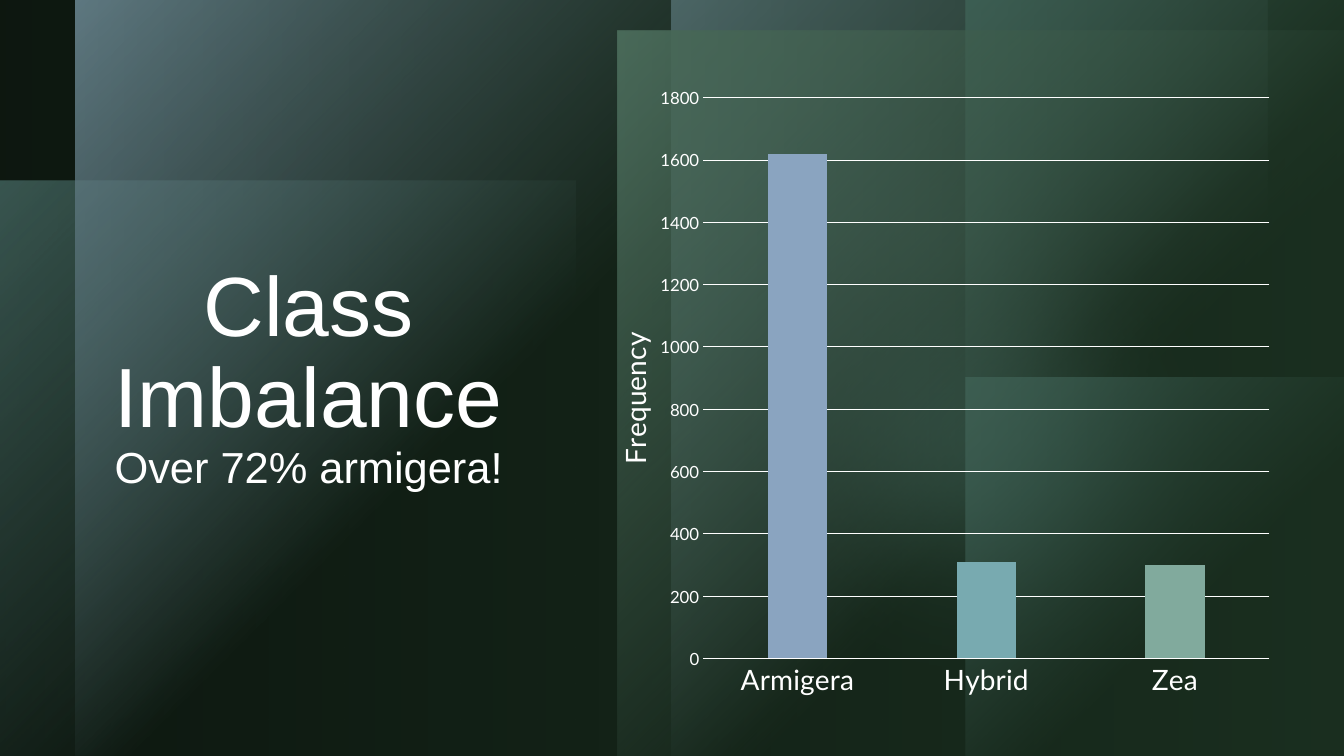
import pptx
import pptx.chart.data
import pptx.dml.color
import pptx.enum.chart
import pptx.enum.shapes
import pptx.enum.text
import pptx.oxml
import pptx.oxml.ns
import pptx.util
from dataclasses import dataclass


@dataclass(frozen=True)
class Theme:
    black: str = "000000"
    white: str = "FFFFFF"
    blue: str = "8AA4C0"
    teal: str = "78AAB0"
    sage: str = "81AA9D"
    forest: str = "223C29"
    head: str = "Arial"
    body: str = "Lato"
    big: int = 60
    sub: int = 31
    label: int = 20
    tick: int = 12


T = Theme()
WIDE, HIGH = 13.33, 7.5
HALF = HIGH / 2
PANEL = 5.91
FULL = (0, 0, WIDE, HIGH)
TITLE = [("Class Imbalance", T.big), ("Over 72% armigera!", T.sub)]
TITLE_BOX = (0.6, 2.56, 4.92, 2.39)
CHART_BOX = (5.72, 0.75, 7.01, 6.3)
PLOT = dict(x=0.179, y=0.035, w=0.801, h=0.883)
AXIS_NAME = dict(x=0.046, y=0.396)
COUNTS = {"Armigera": (1620, T.blue), "Hybrid": (310, T.teal), "Zea": (300, T.sage)}


def glow(color, start=100):
    return [(0, color, start), (60, color, 0)]


# shape, box, gradient stops (percent, color, opacity), soft edge in points
LAYERS = [
    ("RECTANGLE", FULL, [(0, T.black, 100)], 0),
    ("RECTANGLE", (0, 1.79, 5.71, 5.71), glow(T.teal, 60), 0),
    ("OVAL", (6.98, 0, 4.72, 4.72), [(0, T.sage, 96)], 100),
    ("OVAL", (6.69, 1.35, 6.02, 6.02), [(0, T.teal, 60)], 100),
    ("RECTANGLE", (0.75 + PANEL, 0, PANEL, HIGH), glow(T.blue), 0),
    ("RECTANGLE", (0.75, 0, PANEL, HIGH), glow(T.blue), 0),
    ("RECTANGLE", (WIDE - HALF, HALF, HALF, HALF), glow(T.teal), 0),
    ("RECTANGLE", (WIDE - HALF, 0, HALF, HALF), glow(T.teal), 0),
    ("RECTANGLE", (6.13, 0.3, 7.2, 7.2), glow(T.sage), 0),
    ("RECTANGLE", FULL, [(0, T.forest, 40), (100, T.forest, 80)], 0),
]


def rgb(color):
    return pptx.dml.color.RGBColor.from_string(color)


def xml(body):
    """Parse one drawing or chart element."""
    tag, rest = body.split(" ", 1)
    return pptx.oxml.parse_xml(f"{tag} {pptx.oxml.ns.nsdecls('a', 'c')} {rest}")


def place(box):
    return [pptx.util.Inches(n) for n in box]


def style(font, size, face=T.body, color=T.white):
    font.size, font.name, font.bold = pptx.util.Pt(size), face, False
    font.color.rgb = rgb(color)


def write(frame, lines, face, color, align):
    """Write (text, size) lines as one paragraph with line breaks."""
    para = frame.paragraphs[0]
    para.alignment, para.line_spacing = align, 0.9
    for i, (words, size) in enumerate(lines):
        if i:
            para.add_line_break()
        run = para.add_run()
        run.text = words
        style(run.font, size, face, color)


def paint(stops):
    """Build a solid fill, a radial glow or a left-to-right fade."""
    tint = [f'<a:srgbClr val="{c}"><a:alpha val="{a * 1000}"/></a:srgbClr>'
            for _, c, a in stops]
    if len(stops) == 1:
        return xml(f"<a:solidFill >{tint[0]}</a:solidFill>")
    marks = "".join(f'<a:gs pos="{s[0] * 1000}">{t}</a:gs>' for s, t in zip(stops, tint))
    course = ('<a:path path="circle"><a:fillToRect r="100000" b="100000"/></a:path>'
              if stops[-1][2] == 0 else '<a:lin ang="0" scaled="0"/>')
    return xml(f'<a:gradFill rotWithShape="1"><a:gsLst>{marks}</a:gsLst>{course}</a:gradFill>')


def layer(slide, kind, box, stops, soft):
    form = pptx.enum.shapes.MSO_SHAPE[kind]
    shape = slide.shapes.add_shape(form, *place(box))
    shape.shadow.inherit = False
    shape.line.fill.background()
    shape.fill.background()
    props = shape._element.spPr
    props.replace(props.find(pptx.oxml.ns.qn("a:noFill")), paint(stops))
    if soft:
        edge = xml(f'<a:softEdge rad="{pptx.util.Pt(soft)}"/>')
        props.find(pptx.oxml.ns.qn("a:effectLst")).append(edge)


def layout(spots, inner=False):
    """Build a manual chart layout from shares of the chart."""
    parts = '<c:layoutTarget val="inner"/>' if inner else ""
    parts += '<c:xMode val="edge"/><c:yMode val="edge"/>'
    parts += "".join(f'<c:{k} val="{v}"/>' for k, v in spots.items())
    return xml(f"<c:layout ><c:manualLayout>{parts}</c:manualLayout></c:layout>")


def set_layout(node, new, spot):
    old = node.find(pptx.oxml.ns.qn("c:layout"))
    if old is not None:
        node.remove(old)
    node.insert(spot, new)


def rule(line):
    line.color.rgb, line.width = rgb(T.white), pptx.util.Pt(0.75)


def add_bars(slide):
    kinds = pptx.enum.chart
    data = pptx.chart.data.CategoryChartData()
    data.categories = list(COUNTS)
    data.add_series("Series 1", [n for n, _ in COUNTS.values()])
    chart = slide.shapes.add_chart(
        kinds.XL_CHART_TYPE.COLUMN_CLUSTERED, *place(CHART_BOX), data).chart
    chart.has_legend = chart.has_title = False
    style(chart.font, T.tick)
    plot = chart.plots[0]
    plot.gap_width, plot.overlap, plot.vary_by_categories = 219, -27, False
    for i, (_, color) in enumerate(COUNTS.values()):
        fill = plot.series[0].points[i].format.fill
        fill.solid()
        fill.fore_color.rgb = rgb(color)

    cats, vals = chart.category_axis, chart.value_axis
    for axis, size in ((cats, T.label), (vals, T.tick)):
        axis.major_tick_mark = axis.minor_tick_mark = kinds.XL_TICK_MARK.NONE
        style(axis.tick_labels.font, size)
    rule(cats.format.line)
    vals.format.line.fill.background()
    vals.minimum_scale, vals.maximum_scale, vals.major_unit = 0, 1800, 200
    vals.has_major_gridlines = True
    rule(vals.major_gridlines.format.line)
    name = vals.axis_title
    write(name.text_frame, [("Frequency", T.label)], T.body, T.white,
          pptx.enum.text.PP_ALIGN.CENTER)
    turn = name.text_frame._txBody.find(pptx.oxml.ns.qn("a:bodyPr"))
    turn.set("rot", "-5400000")
    turn.set("vert", "horz")
    set_layout(name._element, layout(AXIS_NAME), 1)
    set_layout(chart._chartSpace.chart.plotArea, layout(PLOT, inner=True), 0)


def main():
    deck = pptx.Presentation()
    deck.slide_width, deck.slide_height = place((WIDE, HIGH))
    slide = deck.slides.add_slide(deck.slide_layouts[6])
    back = slide.background.fill
    back.solid()
    back.fore_color.rgb = rgb(T.black)
    for item in LAYERS:
        layer(slide, *item)
    frame = slide.shapes.add_textbox(*place(TITLE_BOX)).text_frame
    frame.word_wrap = True
    frame.vertical_anchor = pptx.enum.text.MSO_ANCHOR.MIDDLE
    write(frame, TITLE, T.head, T.white, pptx.enum.text.PP_ALIGN.CENTER)
    add_bars(slide)
    deck.save("out.pptx")


if __name__ == "__main__":
    main()
